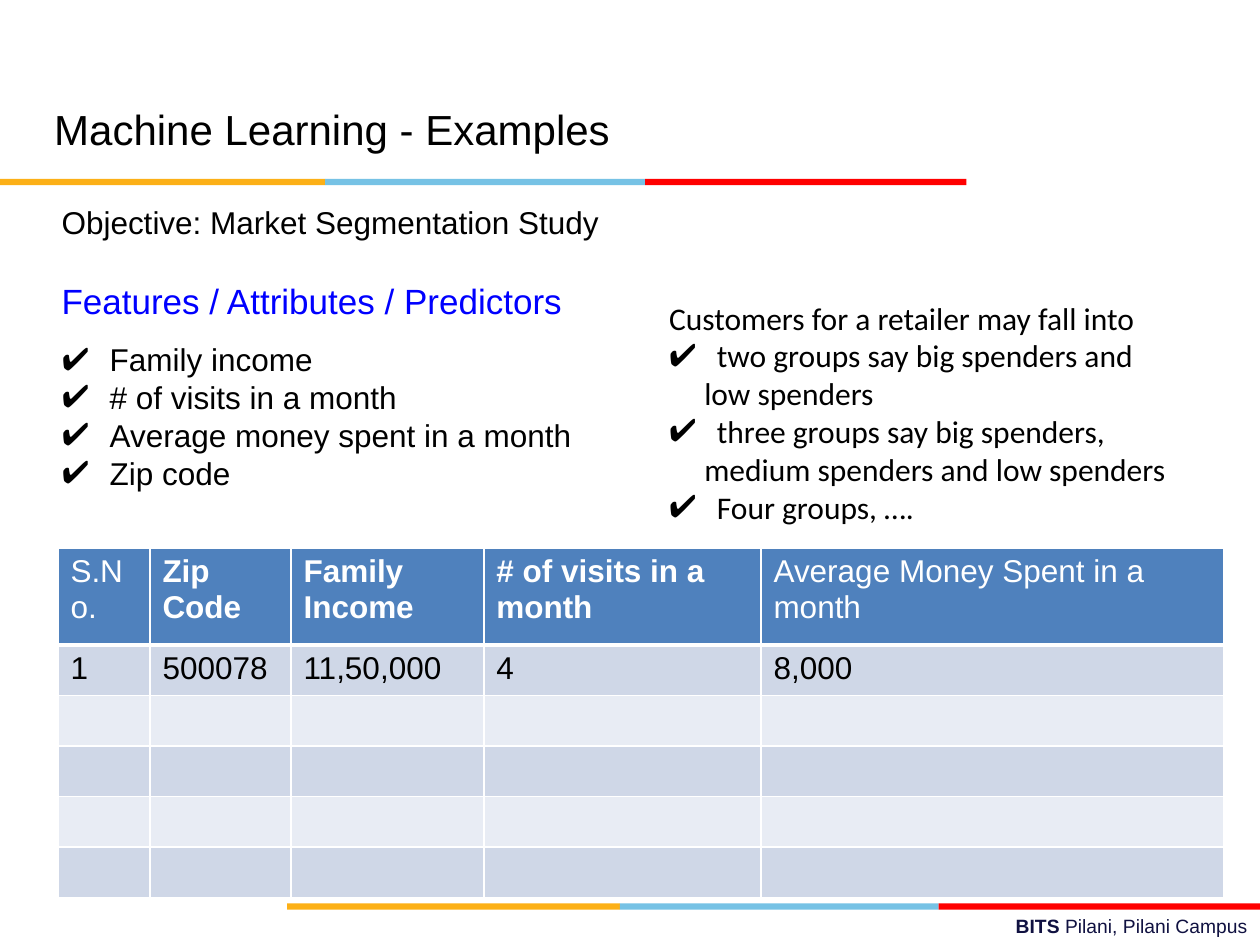
from dataclasses import dataclass

from lxml.etree import SubElement
from pptx import Presentation
from pptx.dml.color import RGBColor
from pptx.enum.shapes import MSO_SHAPE
from pptx.enum.text import MSO_ANCHOR, MSO_AUTO_SIZE, PP_ALIGN
from pptx.oxml.ns import qn
from pptx.util import Inches, Pt


@dataclass(frozen=True)
class Theme:
    """Fonts, type sizes and colours of the slide."""
    font: str = "Arial"
    alt_font: str = "Calibri"
    title: int = 24
    heading: int = 20
    body: int = 18
    footer: int = 11
    black: str = "000000"
    white: str = "FFFFFF"
    blue: str = "0000FF"
    navy: str = "101141"
    stripes: tuple = ("FCB017", "76C2E5", "FF0000")
    header: str = "4F81BD"
    bands: tuple = ("CFD7E7", "E8ECF4")


def add_text(p, text, size=18, font="Arial", color="000000", bold=False):
    """Add a formatted run to a paragraph."""
    r = p.add_run()
    r.text = text
    r.font.size, r.font.name, r.font.bold = Pt(size), font, bold
    r.font.color.rgb = RGBColor.from_string(color)


def set_indent(p, left=0, hanging=0, bullet=None):
    """Set the left margin, hanging indent and bullet of a paragraph."""
    pPr = p._p.get_or_add_pPr()
    pPr.set("marL", str(Inches(left)))
    pPr.set("indent", str(-Inches(hanging)))
    if bullet:
        SubElement(pPr, qn("a:buFont")).set("typeface", "Arial")
        SubElement(pPr, qn("a:buChar")).set("char", bullet)
    else:
        SubElement(pPr, qn("a:buNone"))
    p.space_before = Pt(0)


def set_borders(cell, color, **widths):
    """Draw the cell borders, with widths in points keyed by side."""
    tcPr = cell._tc.get_or_add_tcPr()
    for side in "LRTB":
        ln = SubElement(tcPr, qn(f"a:ln{side}"), w=str(Pt(widths.get(side, 1))))
        fill = SubElement(ln, qn("a:solidFill"))
        SubElement(fill, qn("a:srgbClr"), val=color)


class Deck:
    """Holds the theme and the current slide."""

    def __init__(self, prs, theme):
        """Start a slide with a title and two lists."""
        self.theme = theme
        self.s = prs.slides.add_slide(prs.slide_layouts[3])

    def place(self, sp, x, y, w, h):
        """Move a placeholder and return its text frame."""
        sp.left, sp.top, sp.width, sp.height = map(Inches, (x, y, w, h))
        tf = sp.text_frame
        tf.auto_size = MSO_AUTO_SIZE.NONE
        return tf

    def title(self, text, *box):
        """Fill the title placeholder."""
        tf = self.place(self.s.shapes.title, *box)
        tf.vertical_anchor = MSO_ANCHOR.MIDDLE
        p = tf.paragraphs[0]
        p.alignment = PP_ALIGN.LEFT
        add_text(p, text, size=self.theme.title)

    def body(self, idx, items, *box, font):
        """Fill a body placeholder with (kind, text) items."""
        tf = self.place(self.s.placeholders[idx], *box)
        indents = {"plain": (), "bullet": (0.38, 0.38, "✔"), "more": (0.28,)}
        for i, (kind, text) in enumerate(items):
            p = tf.add_paragraph() if i else tf.paragraphs[0]
            set_indent(p, *indents[kind])
            add_text(p, text, size=self.theme.body, font=font)

    def text(self, runs, *box, align=PP_ALIGN.LEFT, **style):
        """Add a text box of (text, bold) runs."""
        tf = self.s.shapes.add_textbox(*map(Inches, box)).text_frame
        tf.word_wrap = True
        p = tf.paragraphs[0]
        p.alignment = align
        for text, bold in runs:
            add_text(p, text, bold=bold, **style)

    def stripe(self, y, edges):
        """Draw a three-colour rule between the given edges."""
        for color, x, end in zip(self.theme.stripes, edges, edges[1:]):
            sp = self.s.shapes.add_shape(
                MSO_SHAPE.RECTANGLE, *map(Inches, (x, y, end - x, 0.05)))
            sp.shadow.inherit = False
            sp.fill.solid()
            sp.fill.fore_color.rgb = RGBColor.from_string(color)
            sp.line.fill.background()

    def table(self, x, y, widths, heights, rows, bold_columns):
        """Add a banded table; rows beyond the data stay empty."""
        t = self.theme
        tbl = self.s.shapes.add_table(
            len(heights), len(widths),
            *map(Inches, (x, y, sum(widths), sum(heights)))).table
        for col, w in zip(tbl.columns, widths):
            col.width = Inches(w)
        for i, h in enumerate(heights):
            tbl.rows[i].height = Inches(h)
            for j in range(len(widths)):
                cell = tbl.cell(i, j)
                set_borders(cell, t.white, B=1 if i else 3, T=3 if i == 1 else 1)
                cell.fill.solid()
                cell.fill.fore_color.rgb = RGBColor.from_string(
                    t.bands[(i - 1) % 2] if i else t.header)
                if i < len(rows):
                    add_text(cell.text_frame.paragraphs[0], rows[i][j],
                             size=t.body, color=t.black if i else t.white,
                             bold=i == 0 and j in bold_columns)


def main():
    """Build and save the slide."""
    prs = Presentation()
    prs.slide_width, prs.slide_height = Inches(10), Inches(7.5)
    t = Theme()
    d = Deck(prs, t)
    d.stripe(7.17, (2.28, 4.92, 7.45, 10))
    d.stripe(1.42, (0, 2.58, 5.12, 7.67))
    d.text([("BITS ", True), ("Pilani, Pilani Campus", False)],
           3.58, 7.21, 6.42, 0.29, align=PP_ALIGN.RIGHT,
           size=t.footer, color=t.navy)
    d.title("Machine Learning - Examples", 0.33, 0.55, 9, 0.95)
    d.text([("Objective: Market Segmentation Study", False)],
           0.39, 1.56, 6.42, 0.4, size=t.body)
    d.text([("Features / Attributes / Predictors", False)],
           0.39, 2.17, 4.77, 0.44, size=t.heading, color=t.blue)
    features = ("Family income", "# of visits in a month",
                "Average money spent in a month", "Zip code")
    d.body(1, [("bullet", f) for f in features],
           0.39, 2.65, 4.69, 1.31, font=t.font)
    d.body(2, [("plain", "Customers for a retailer may fall into"),
               ("bullet", "two groups say big spenders and"),
               ("more", "low spenders"),
               ("bullet", "three groups say big spenders,"),
               ("more", "medium spenders and low spenders"),
               ("bullet", "Four groups, ….")],
           5.21, 2.32, 4.67, 1.92, font=t.alt_font)
    d.table(0.46, 4.35, (0.73, 1.12, 1.53, 2.2, 3.67), (0.77,) + (0.4,) * 5,
            [("S.No.", "Zip Code", "Family Income", "# of visits in a month",
              "Average Money Spent in a month"),
             ("1", "500078", "11,50,000", "4", "8,000")],
            bold_columns=(1, 2, 3))
    prs.save("out.pptx")


if __name__ == "__main__":
    main()
